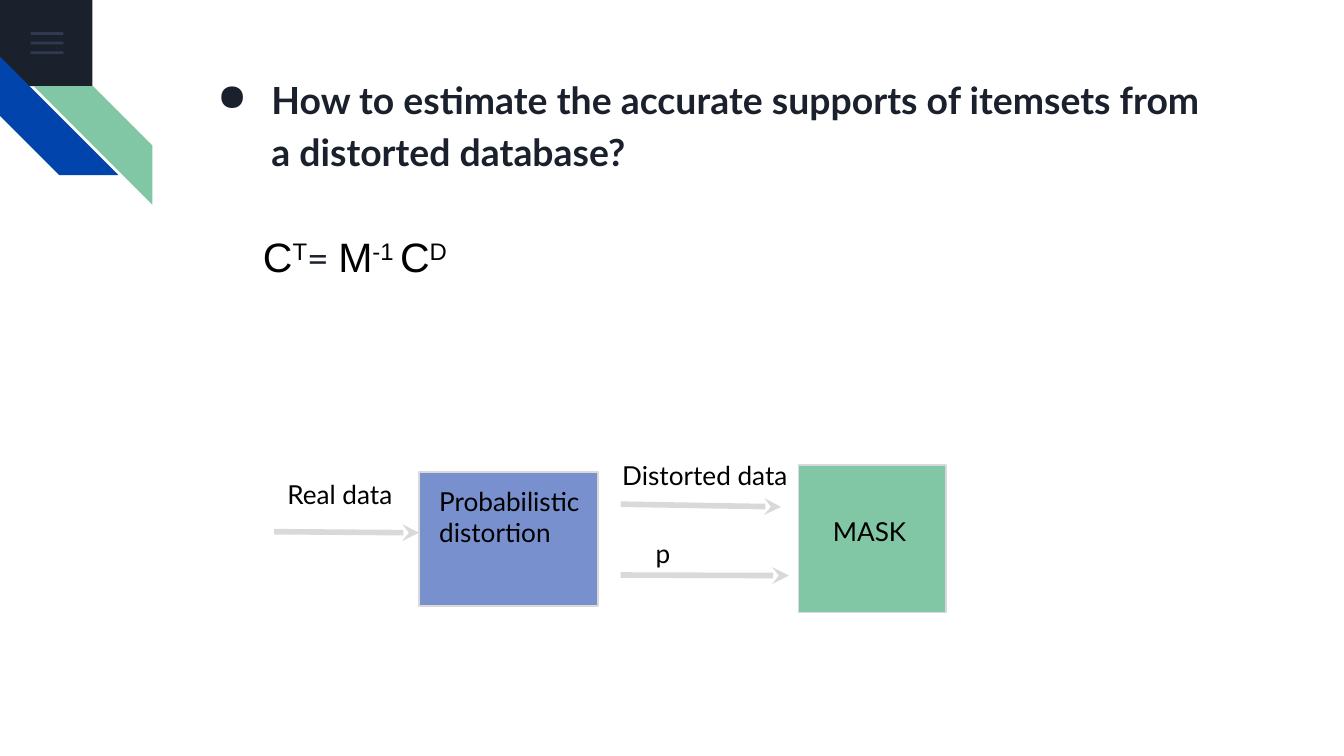
from lxml import etree
from pptx import Presentation
from pptx.dml.color import RGBColor
from pptx.enum.shapes import MSO_CONNECTOR, MSO_SHAPE
from pptx.oxml.ns import qn
from pptx.util import Cm, Pt

RECT = MSO_SHAPE.RECTANGLE
STRIPE = MSO_SHAPE.DIAGONAL_STRIPE
STRAIGHT = MSO_CONNECTOR.STRAIGHT

INK = RGBColor(0x1B, 0x21, 0x2C)
SLATE = RGBColor(0x55, 0x68, 0x8B)
BLUE = RGBColor(0x01, 0x45, 0xAC)
GREEN = RGBColor(0x82, 0xC7, 0xA5)
PERIWINKLE = RGBColor(0x78, 0x90, 0xCD)
GREY = RGBColor(0xD9, 0xD9, 0xD9)
BLACK = RGBColor(0, 0, 0)

QUESTION = "How to estimate the accurate supports of itemsets from a distorted database?"
FORMULA = [
    ("C", 22, "Arial", BLACK, False),
    ("T", 22, "Arial", BLACK, True),
    ("= ", 20, "Lato", INK, False),
    ("M", 22, "Arial", BLACK, False),
    ("-1 ", 22, "Arial", BLACK, True),
    ("C", 22, "Arial", BLACK, False),
    ("D", 22, "Arial", BLACK, True),
]
STAGES = [
    ((7.92, 8.92, 3.38, 2.54), PERIWINKLE),
    ((15.09, 8.79, 2.79, 2.79), GREEN),
]
LABELS = [
    ("Probabilistic distortion", (8.05, 8.92, 3.28, 1.7)),
    ("Real data", (5.18, 8.79, 2.87, 1.12)),
    ("MASK", (15.49, 9.5, 1.98, 1.12)),
    ("p", (12.14, 9.91, 1.55, 1.12)),
    ("Distorted data", (11.51, 8.43, 3.84, 1.12)),
]
FLOWS = [
    (5.18, 10.05, 7.92, 10.07),
    (11.73, 9.53, 14.76, 9.58),
    (11.73, 10.87, 14.91, 10.88),
]
MENU_BARS = 3
MENU_TOP, MENU_STEP = 0.61, 0.18
STRIPE_SIZE = 2.24
INSET = 0.25


def lengths(values):
    return [Cm(value) for value in values]


def add_block(slide, kind, box, fill, outline=None):
    block = slide.shapes.add_shape(kind, *lengths(box))
    block.shadow.inherit = False
    block.fill.solid()
    block.fill.fore_color.rgb = fill
    if outline is None:
        block.line.fill.background()
    else:
        block.line.color.rgb = outline
        block.line.width = Pt(0.75)
    return block


def add_paragraph_box(slide, box):
    frame = slide.shapes.add_textbox(*lengths(box)).text_frame
    frame.word_wrap = True
    frame.margin_left = frame.margin_right = Cm(INSET)
    frame.margin_top = frame.margin_bottom = Cm(INSET)
    return frame.paragraphs[0]


def add_run(paragraph, text, size, font, color, raised=False, bold=False):
    run = paragraph.add_run()
    run.text = text
    run.font.size = Pt(size)
    run.font.name = font
    run.font.bold = bold
    run.font.color.rgb = color
    if raised:
        run._r.get_or_add_rPr().set("baseline", "30000")


def add_corner(slide):
    add_block(slide, RECT, (0, 0, 1.75, 1.63), INK)
    for index in range(MENU_BARS):
        bar = add_block(slide, RECT, (0.58, MENU_TOP + index * MENU_STEP, 0.62, 0.05), SLATE)
        tint = bar.fill._xPr.find(".//" + qn("a:srgbClr"))
        etree.SubElement(tint, qn("a:alpha")).set("val", "36000")
    blue_stripe = add_block(slide, STRIPE, (0, 1.07, STRIPE_SIZE, STRIPE_SIZE), BLUE)
    blue_stripe.rotation = 270
    green_stripe = add_block(slide, STRIPE, (0.64, 1.63, STRIPE_SIZE, STRIPE_SIZE), GREEN)
    green_stripe._element.spPr.find(qn("a:xfrm")).set("flipH", "1")


def add_question(slide):
    paragraph = add_paragraph_box(slide, (3.61, 1.09, 19.56, 2.54))
    properties = paragraph._p.get_or_add_pPr()
    properties.set("marL", str(Cm(1.27)))
    properties.set("indent", str(Cm(-1.02)))
    bullet_color = etree.SubElement(properties, qn("a:buClr"))
    etree.SubElement(bullet_color, qn("a:srgbClr")).set("val", str(INK))
    etree.SubElement(properties, qn("a:buChar")).set("char", "●")
    paragraph.line_spacing = 1.15
    add_run(paragraph, QUESTION, 20, "Lato", INK, bold=True)


def add_formula(slide):
    paragraph = add_paragraph_box(slide, (2.18, 3.99, 21.01, 3.45))
    paragraph._p.get_or_add_pPr().set("indent", str(Cm(2.54)))
    paragraph.line_spacing = 1.15
    for part in FORMULA:
        add_run(paragraph, *part)


def add_flow(slide, ends):
    flow = slide.shapes.add_connector(STRAIGHT, *lengths(ends))
    flow.line.color.rgb = GREY
    flow.line.width = Pt(3)
    etree.SubElement(flow.line._get_or_add_ln(), qn("a:tailEnd")).set("type", "stealth")
    etree.SubElement(flow._element.spPr, qn("a:effectLst"))


def main():
    deck = Presentation()
    deck.slide_width, deck.slide_height = Cm(25.4), Cm(14.29)
    slide = deck.slides.add_slide(deck.slide_layouts[6])
    add_corner(slide)
    add_question(slide)
    add_formula(slide)
    for box, fill in STAGES:
        add_block(slide, RECT, box, fill, GREY)
    for ends in FLOWS:
        add_flow(slide, ends)
    for text, box in LABELS:
        add_run(add_paragraph_box(slide, box), text, 14, "Lato", BLACK)
    deck.save("out.pptx")


if __name__ == "__main__":
    main()
